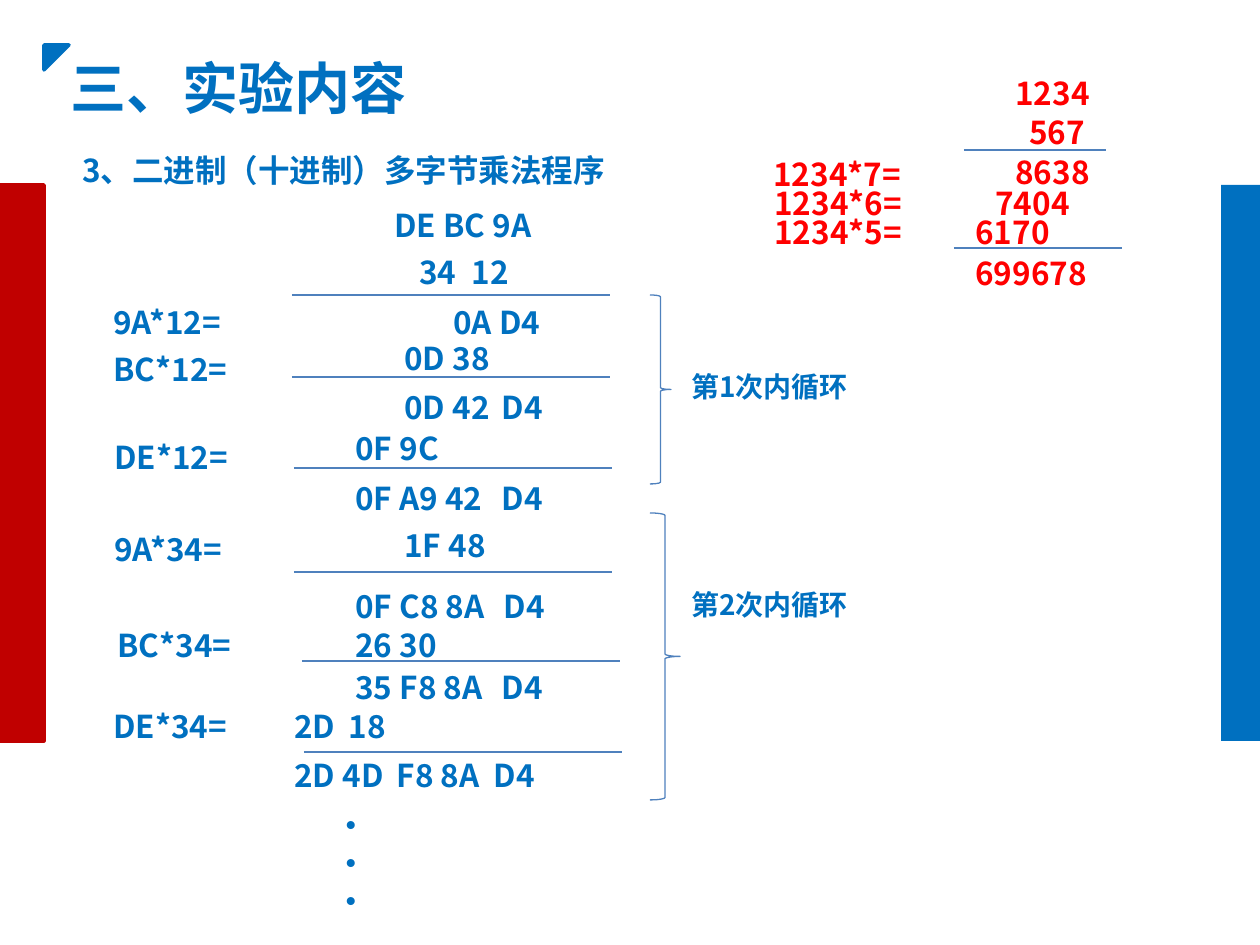
from lxml import etree
from pptx import Presentation
from pptx.dml.color import RGBColor
from pptx.enum import shapes, text
from pptx.oxml.ns import qn
from pptx.util import Pt

PX = 914400 / 126
FONT = "Noto Sans CJK SC"
BLUE, RED, CRIMSON, RULE = "0070C0", "FF0000", "C00000", "4F81BD"
INSET = 12.6
ROW_H, LABEL_W = 50, 193

TITLE = "三、实验内容"
HEADING = "3、二进制（十进制）多字节乘法程序"

# text, left, top
HEX_LABELS = [
    ("9A*12=", 101, 297), ("BC*12=", 101, 344), ("DE*12=", 102, 432),
    ("9A*34=", 102, 524), ("BC*34=", 105, 620), ("DE*34=", 101, 701),
]
# text, left, top, width, slide positions of the tab stops
HEX_ROWS = [
    ("DE BC 9A", 382, 200, 179, []),
    ("34\t12", 407, 247, 174, [472]),
    ("0A D4", 441, 297, 139, []),
    ("0D 38", 392, 333, 139, []),
    ("0D 42\tD4", 392, 382, 208, [502]),
    ("0F 9C", 343, 423, 139, []),
    ("0F A9 42\tD4", 343, 473, 238, [502]),
    ("1F 48", 392, 520, 139, []),
    ("0F C8 8A\tD4", 343, 581, 258, [504]),
    ("26 30", 343, 620, 139, []),
    ("35 F8 8A\tD4", 343, 662, 258, [502]),
    ("2D\t18", 282, 701, 139, [349]),
    ("2D 4D\tF8 8A\tD4", 282, 750, 307, [397, 494]),
]
DECIMAL_LABELS = [("1234*7=", 761, 149), ("1234*6=", 762, 178), ("1234*5=", 762, 207)]
DECIMAL_ROWS = [
    ("1234", 1003, 68, 120), ("567", 1017, 107, 106), ("8638", 1003, 147, 120),
    ("7404", 983, 178, 120), ("6170", 963, 207, 120), ("699678", 963, 248, 142),
]
# left, y, length
RULES = [
    (292, 295, 318), (292, 377, 318), (294, 468, 318), (294, 572, 318),
    (302, 661, 318), (304, 752, 318), (964, 150, 142), (954, 248, 168),
]
# brace box, caption, caption top
LOOPS = [
    ((650, 295, 21, 189), "第1次内循环", 363),
    ((650, 513, 30, 287), "第2次内循环", 581),
]
# preset, box, colour, outline width, rotation
DECOR = [
    (shapes.MSO_SHAPE.RECTANGLE, (0, 185, 44, 556), CRIMSON, 2, 0),
    (shapes.MSO_SHAPE.RECTANGLE, (1221, 185, 44, 556), BLUE, 0, 0),
    (shapes.MSO_SHAPE.RIGHT_TRIANGLE, (44, 45, 25, 25), BLUE, 2, 90),
]


def emu(*lengths):
    return [round(length * PX) for length in lengths]


def rgb(colour):
    return RGBColor.from_string(colour)


def write(shape, words, size=18, colour=BLUE, stops=(), wrap=True):
    frame = shape.text_frame
    frame.word_wrap = wrap
    frame.vertical_anchor = text.MSO_ANCHOR.TOP
    frame.text = words
    paragraph = frame.paragraphs[0]
    paragraph.alignment = text.PP_ALIGN.LEFT
    props = paragraph._p.get_or_add_pPr()
    if stops:
        tabs = etree.SubElement(props, qn("a:tabLst"))
        for stop in emu(*stops):
            etree.SubElement(tabs, qn("a:tab"), pos=str(stop), algn="l")
    font = paragraph.font
    font.size, font.bold, font.name = Pt(size), True, FONT
    font.color.rgb = rgb(colour)
    etree.SubElement(props.find(qn("a:defRPr")), qn("a:ea"), typeface=FONT)


def add_text(slide, words, left, top, width, height=ROW_H, **style):
    write(slide.shapes.add_textbox(*emu(left, top, width, height)), words, **style)


def add_preset(slide, preset, box, fill=None, line=None, weight=0, rotation=0):
    shape = slide.shapes.add_shape(preset, *emu(*box))
    shape.shadow.inherit = False
    shape.rotation = rotation
    if fill:
        shape.fill.solid()
        shape.fill.fore_color.rgb = rgb(fill)
    else:
        shape.fill.background()
    if weight:
        shape.line.color.rgb = rgb(line)
        shape.line.width = Pt(weight)
    else:
        shape.line.fill.background()


def add_rule(slide, left, y, length):
    rule = slide.shapes.add_connector(
        shapes.MSO_CONNECTOR.STRAIGHT, *emu(left, y, left + length, y))
    rule.line.color.rgb = rgb(RULE)
    rule.line.width = Pt(0.75)
    etree.SubElement(rule._element.spPr, qn("a:effectLst"))


def main():
    deck = Presentation()
    deck.slide_width, deck.slide_height = emu(1260, 945)
    slide = deck.slides.add_slide(deck.slide_layouts[5])

    for preset, box, colour, weight, rotation in DECOR:
        add_preset(slide, preset, box, colour, colour, weight, rotation)

    title = slide.shapes.title
    title.left, title.top, title.width, title.height = emu(58, 47, 362, 81)
    write(title, TITLE, size=32, wrap=False)
    add_text(slide, HEADING, 70, 145, 1125)

    for words, left, top, width, columns in HEX_ROWS:
        stops = [column - left - INSET for column in columns]
        add_text(slide, words, left, top, width, stops=stops)
    for words, left, top, width in DECIMAL_ROWS:
        add_text(slide, words, left, top, width, colour=RED)
    for labels, colour in ((HEX_LABELS, BLUE), (DECIMAL_LABELS, RED)):
        for words, left, top in labels:
            add_text(slide, words, left, top, LABEL_W, colour=colour)

    for rule in RULES:
        add_rule(slide, *rule)
    for brace, caption, top in LOOPS:
        add_preset(slide, shapes.MSO_SHAPE.RIGHT_BRACE, brace, line=RULE, weight=0.75)
        add_text(slide, caption, 679, top, LABEL_W, 81, size=16)

    add_text(slide, "···", 323, 800, 28, 126)
    deck.save("out.pptx")


if __name__ == "__main__":
    main()
